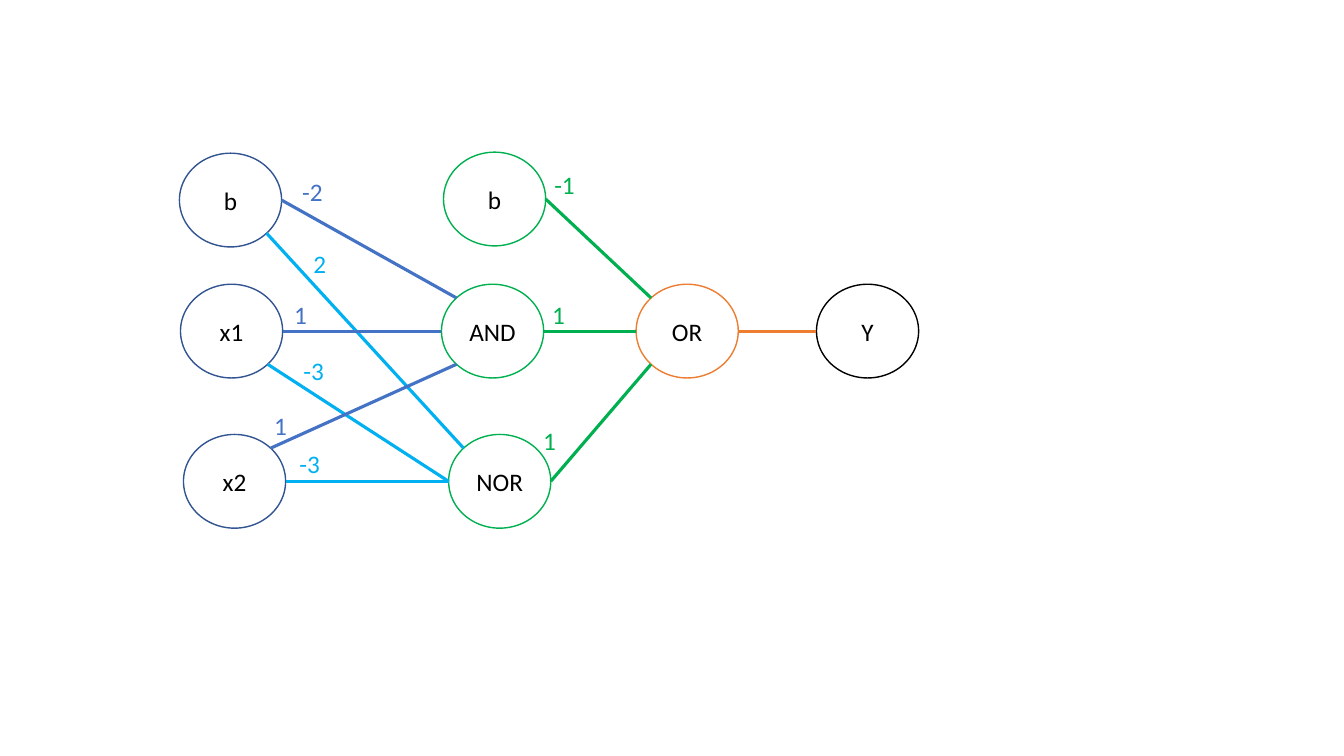
"""Draw a small neural network that combines AND, NOR and OR neurons."""
from dataclasses import dataclass
from math import cos, radians, sin

from pptx import Presentation
from pptx.dml.color import RGBColor
from pptx.enum.shapes import MSO_CONNECTOR, MSO_SHAPE
from pptx.enum.text import MSO_ANCHOR, MSO_AUTO_SIZE, PP_ALIGN
from pptx.oxml.ns import qn
from pptx.util import Inches, Pt
from lxml import etree

STRAIGHT, OVAL = MSO_CONNECTOR.STRAIGHT, MSO_SHAPE.OVAL
MIDDLE, CENTER, LEFT = MSO_ANCHOR.MIDDLE, PP_ALIGN.CENTER, PP_ALIGN.LEFT
GROW = MSO_AUTO_SIZE.SHAPE_TO_FIT_TEXT
SLIDE_W, SLIDE_H = Inches(13.33), Inches(7.5)

# Sizes are percentages of the slide's width and height.
NODE_W, NODE_H = 7.6, 12.4
LABEL_W, LABEL_H = 4.05, 5.33

# Clockwise angles, in degrees, of the points where links meet a node.
RIGHT_SIDE, LOWER_RIGHT, LOWER_LEFT = 0, 45, 135
LEFT_SIDE, UPPER_LEFT, UPPER_RIGHT = 180, 225, 315


@dataclass(frozen=True)
class Theme:
    """Colours, font and sizes of the diagram."""
    font: str = "Calibri"
    text_size: float = 18
    node_line: float = 1
    link_line: float = 2.25
    black: str = "000000"
    navy: str = "325491"
    blue: str = "4472C4"
    sky: str = "00B0F0"
    green: str = "00B050"
    orange: str = "ED7D31"


@dataclass(frozen=True)
class Node:
    """A neuron, placed by its top left corner."""
    text: str
    x: float
    y: float
    color: str

    def site(self, angle: float) -> tuple[int, int]:
        """Return the point on the rim at a clockwise angle."""
        return (across(self.x + NODE_W / 2 * (1 + cos(radians(angle)))),
                down(self.y + NODE_H / 2 * (1 + sin(radians(angle)))))


@dataclass(frozen=True)
class Link:
    """A line between the rims of two nodes."""
    start: str
    start_angle: float
    end: str
    end_angle: float
    color: str


@dataclass(frozen=True)
class Weight:
    """The number written beside a link."""
    text: str
    x: float
    y: float
    color: str


T = Theme()

NODES = {
    "input bias": Node("b", 13.35, 20.27, T.navy),
    "x1": Node("x1", 13.43, 37.6, T.navy),
    "x2": Node("x2", 13.65, 57.47, T.navy),
    "hidden bias": Node("b", 33, 20.13, T.green),
    "and": Node("AND", 32.85, 37.6, T.green),
    "nor": Node("NOR", 33.38, 57.47, T.green),
    "or": Node("OR", 47.33, 37.6, T.orange),
    "output": Node("Y", 60.75, 37.6, T.black),
}

LINKS = [
    Link("input bias", RIGHT_SIDE, "and", UPPER_LEFT, T.blue),
    Link("input bias", LOWER_RIGHT, "nor", UPPER_LEFT, T.sky),
    Link("x1", RIGHT_SIDE, "and", LEFT_SIDE, T.blue),
    Link("x1", LOWER_RIGHT, "nor", LEFT_SIDE, T.sky),
    Link("x2", RIGHT_SIDE, "nor", LEFT_SIDE, T.sky),
    Link("x2", UPPER_RIGHT, "and", LOWER_LEFT, T.blue),
    Link("hidden bias", RIGHT_SIDE, "or", UPPER_LEFT, T.green),
    Link("and", RIGHT_SIDE, "or", LEFT_SIDE, T.green),
    Link("nor", RIGHT_SIDE, "or", LOWER_LEFT, T.green),
    Link("or", RIGHT_SIDE, "output", LEFT_SIDE, T.orange),
]

WEIGHTS = [
    Weight("-2", 21.75, 22.67, T.blue),
    Weight("1", 21.15, 38.93, T.blue),
    Weight("1", 19.65, 53.6, T.blue),
    Weight("2", 22.58, 32.13, T.sky),
    Weight("-3", 21.83, 46.4, T.sky),
    Weight("-3", 21.53, 58.67, T.sky),
    Weight("-1", 40.5, 21.73, T.green),
    Weight("1", 40.35, 38.93, T.green),
    Weight("1", 39.68, 55.6, T.green),
]


def across(share: float) -> int:
    """Turn a percentage of the slide's width into a length."""
    return round(SLIDE_W * share / 100)


def down(share: float) -> int:
    """Turn a percentage of the slide's height into a length."""
    return round(SLIDE_H * share / 100)


def set_line(s, color: str, width: float) -> None:
    """Give a shape or connector a solid line."""
    s.line.color.rgb = RGBColor.from_string(color)
    s.line.width = Pt(width)


def write(s, text: str, color: str, align, frame: dict) -> None:
    """Write one line of text with the given frame settings."""
    tf = s.text_frame
    for name, value in frame.items():
        setattr(tf, name, value)
    p = tf.paragraphs[0]
    p.alignment = align
    r = p.add_run()
    r.text = text
    for name, value in {"name": T.font, "size": Pt(T.text_size)}.items():
        setattr(r.font, name, value)
    r.font.color.rgb = RGBColor.from_string(color)


def draw_node(shapes, node: Node) -> None:
    """Draw a neuron as an outlined ellipse."""
    s = shapes.add_shape(OVAL, across(node.x), down(node.y),
                         across(NODE_W), down(NODE_H))
    s.shadow.inherit = False
    s.fill.background()
    set_line(s, node.color, T.node_line)
    write(s, node.text, T.black, CENTER,
          {"vertical_anchor": MIDDLE, "word_wrap": True})


def draw_link(shapes, link: Link) -> None:
    """Draw a straight link without a shadow."""
    start = NODES[link.start].site(link.start_angle)
    end = NODES[link.end].site(link.end_angle)
    s = shapes.add_connector(STRAIGHT, *start, *end)
    set_line(s, link.color, T.link_line)
    etree.SubElement(s._element.spPr, qn("a:effectLst"))


def draw_weight(shapes, weight: Weight) -> None:
    """Draw the weight of a link."""
    s = shapes.add_textbox(across(weight.x), down(weight.y),
                           across(LABEL_W), down(LABEL_H))
    write(s, weight.text, weight.color, LEFT,
          {"word_wrap": True, "auto_size": GROW})


def main() -> None:
    """Build and save the slide."""
    prs = Presentation()
    prs.slide_width, prs.slide_height = SLIDE_W, SLIDE_H
    blank = prs.slide_layouts[6]
    shapes = prs.slides.add_slide(blank).shapes
    for node in NODES.values():
        draw_node(shapes, node)
    for link in LINKS:
        draw_link(shapes, link)
    for weight in WEIGHTS:
        draw_weight(shapes, weight)
    prs.save("out.pptx")


main()
